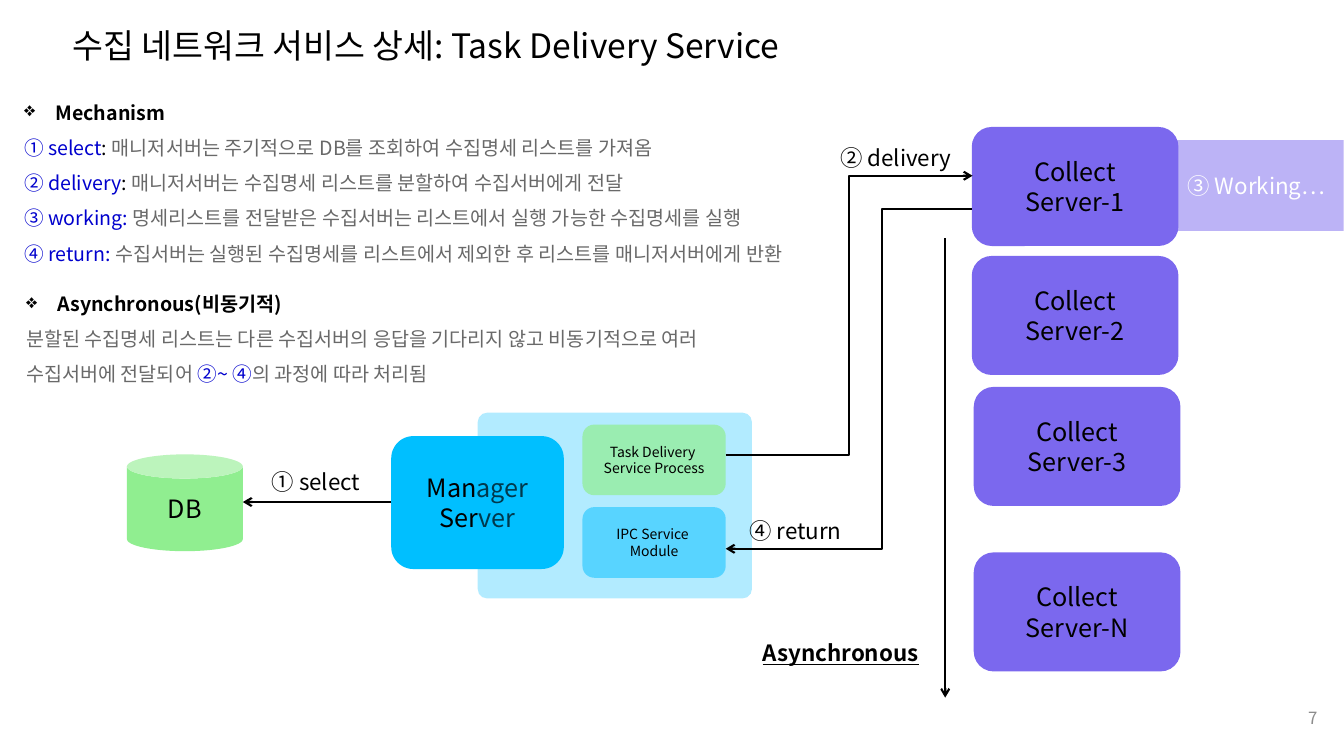
import pptx
import pptx.util
import pptx.dml.color
import pptx.enum.shapes
import pptx.enum.text
import pptx.oxml
import pptx.oxml.ns

Cm, Pt = pptx.util.Cm, pptx.util.Pt
SHAPE = pptx.enum.shapes.MSO_SHAPE
CONNECTOR = pptx.enum.shapes.MSO_CONNECTOR
ALIGN = pptx.enum.text.PP_ALIGN
ANCHOR = pptx.enum.text.MSO_ANCHOR
qn = pptx.oxml.ns.qn

FONT = "Noto Sans CJK KR"
COLORS = {"black": "000000", "white": "FFFFFF", "blue": "0000CD",
          "gray": "696969", "number": "8C8C8C", "purple": "7B68EE",
          "sky": "00BFFF", "green": "90EE90"}


def rgb(name):
    return pptx.dml.color.RGBColor.from_string(COLORS[name])


def add_xml(parent, tag, **attrs):
    el = pptx.oxml.parse_xml(f"<a:{tag} {pptx.oxml.ns.nsdecls('a')}/>")
    for key, value in attrs.items():
        el.set(key, str(value))
    parent.append(el)
    return el


def style(p, size, color="black", bold=False, underline=False):
    p.font.size = Pt(size)
    p.font.name = FONT
    p.font.bold = bold
    if underline:
        p.font.underline = True
    p.font.color.rgb = rgb(color)
    add_xml(p.font._element, "ea", typeface=FONT)


def add_text(s, box, text, size, color="black", wrap=False, **marks):
    tf = s.shapes.add_textbox(*map(Cm, box)).text_frame
    tf.word_wrap = wrap
    p = tf.paragraphs[0]
    p.text = text
    style(p, size, color, **marks)
    return tf


def add_section(s, box, heading, lines):
    """Bulleted heading followed by lines of (text, colour) runs."""
    tf = add_text(s, box, "", 14, wrap=True)
    p = tf.paragraphs[0]
    pPr = p._p.get_or_add_pPr()
    pPr.set("marL", str(Cm(0.79)))
    pPr.set("indent", str(-Cm(0.79)))
    pPr.remove(pPr.find(qn("a:defRPr")))
    p.line_spacing = 1.5
    add_xml(pPr, "buChar", char="❖")
    p.add_run().text = heading
    style(p, 14, bold=True)
    for line in lines:
        p = tf.add_paragraph()
        p.line_spacing = 1.5
        style(p, 14, "gray")
        for text, color in line:
            r = p.add_run()
            r.text = text
            r.font.color.rgb = rgb(color)


def add_block(s, kind, box, fill, lines=(), size=18, color="black", opacity=100):
    sp = s.shapes.add_shape(kind, *map(Cm, box))
    sp.shadow.inherit = False
    sp.fill.solid()
    sp.fill.fore_color.rgb = rgb(fill)
    sp.line.fill.background()
    if opacity < 100:
        srgb = sp._element.spPr.find(qn("a:solidFill")).find(qn("a:srgbClr"))
        add_xml(srgb, "alpha", val=opacity * 1000)
    tf = sp.text_frame
    tf.word_wrap = True
    tf.vertical_anchor = ANCHOR.MIDDLE
    for i, line in enumerate(lines):
        p = tf.add_paragraph() if i else tf.paragraphs[0]
        p.text = line
        p.alignment = ALIGN.CENTER
        style(p, size, color)
    return sp


def add_arrow(s, kind, points, end="tailEnd", bend=None):
    c = s.shapes.add_connector(kind, *map(Cm, points))
    c.line.color.rgb = rgb("black")
    c.line.width = Pt(1.5)
    add_xml(c.line._get_or_add_ln(), end, type="arrow")
    spPr = c._element.spPr
    add_xml(spPr, "effectLst")
    if bend is not None:
        guides = spPr.find(qn("a:prstGeom")).find(qn("a:avLst"))
        add_xml(guides, "gd", name="adj1", fmla=f"val {bend}")


def main():
    prs = pptx.Presentation()
    prs.slide_width, prs.slide_height = Cm(33.87), Cm(19.05)
    s = prs.slides.add_slide(prs.slide_layouts[6])

    # Title, explanations and page number
    add_section(s, (0.36, 2.11, 22.63, 4.65), "Mechanism", [
        [("① select", "blue"), (": ", "black"),
         ("매니저서버는 주기적으로 DB를 조회하여 수집명세 리스트를 가져옴", "gray")],
        [("② delivery", "blue"), (": ", "black"),
         ("매니저서버는 수집명세 리스트를 분할하여 수집서버에게 전달", "gray")],
        [("③ working: ", "blue"),
         ("명세리스트를 전달받은 수집서버는 리스트에서 실행 가능한 수집명세를 실행", "gray")],
        [("④ return: ", "blue"),
         ("수집서버는 실행된 수집명세를 리스트에서 제외한 후 리스트를 매니저서버에게 반환", "gray")]])
    add_text(s, (1.57, 0.51, 21.54, 1.27),
             "수집 네트워크 서비스 상세: Task Delivery Service", 24, wrap=True)
    tf = add_text(s, (25.83, 17.58, 7.62, 1.02), "7", 12, "number", wrap=True)
    tf.vertical_anchor = ANCHOR.MIDDLE
    tf.paragraphs[0].alignment = ALIGN.RIGHT
    add_section(s, (0.41, 6.93, 19.66, 2.84), "Asynchronous(비동기적)", [
        [("분할된 수집명세 리스트는 다른 수집서버의 응답을 기다리지 않고 "
          "비동기적으로 여러 수집서버에 전달되어 ", "gray"),
         ("②~ ④", "blue"), ("의 과정에 따라 처리됨", "gray")]])

    # Collect servers
    add_block(s, SHAPE.RECTANGLE, (29.34, 3.53, 4.52, 2.29), "purple",
              [" ③ Working…"], 16, "white", 50)
    for name, left, top in (("1", 24.49, 3.2), ("2", 24.49, 6.45),
                            ("3", 24.54, 9.75), ("N", 24.54, 13.92)):
        add_block(s, SHAPE.ROUNDED_RECTANGLE, (left, top, 5.21, 3), "purple",
                  ["Collect", f"Server-{name}"])

    # Database, manager server and its modules
    add_block(s, SHAPE.CAN, (3.2, 11.45, 2.92, 2.44), "green", ["DB"])
    add_block(s, SHAPE.ROUNDED_RECTANGLE, (9.86, 10.99, 4.35, 3.35), "sky",
              ["Manager", "Server"])
    panel = add_block(s, SHAPE.ROUNDED_RECTANGLE, (12.04, 10.4, 6.91, 4.68),
                      "sky", opacity=30)
    panel.adjustments[0] = 0.05
    for top, fill, opacity, lines in (
            (10.7, "green", 70, ["Task Delivery ", "Service Process"]),
            (12.78, "sky", 50, ["IPC Service ", "Module"])):
        add_block(s, SHAPE.ROUNDED_RECTANGLE, (14.68, top, 3.61, 1.78), fill,
                  lines, 10, opacity=opacity)

    # Arrows
    add_arrow(s, CONNECTOR.STRAIGHT, (23.82, 6, 23.82, 17.58))
    add_arrow(s, CONNECTOR.STRAIGHT, (9.86, 12.65, 6.12, 12.65))
    add_arrow(s, CONNECTOR.ELBOW, (18.29, 11.46, 24.51, 4.43))
    add_arrow(s, CONNECTOR.ELBOW, (18.29, 13.83, 24.49, 5.27), "headEnd", 63500)

    # Step labels
    for text, left, top, width in (("① select", 6.6, 11.68, 2.77),
                                   ("② delivery", 20.93, 3.5, 3.35),
                                   ("④ return", 18.64, 12.9, 2.87)):
        add_text(s, (left, top, width, 0.94), text, 16)
    add_text(s, (18.97, 15.98, 4.5, 0.94), "Asynchronous", 16,
             bold=True, underline=True)

    prs.save("out.pptx")


if __name__ == "__main__":
    main()
